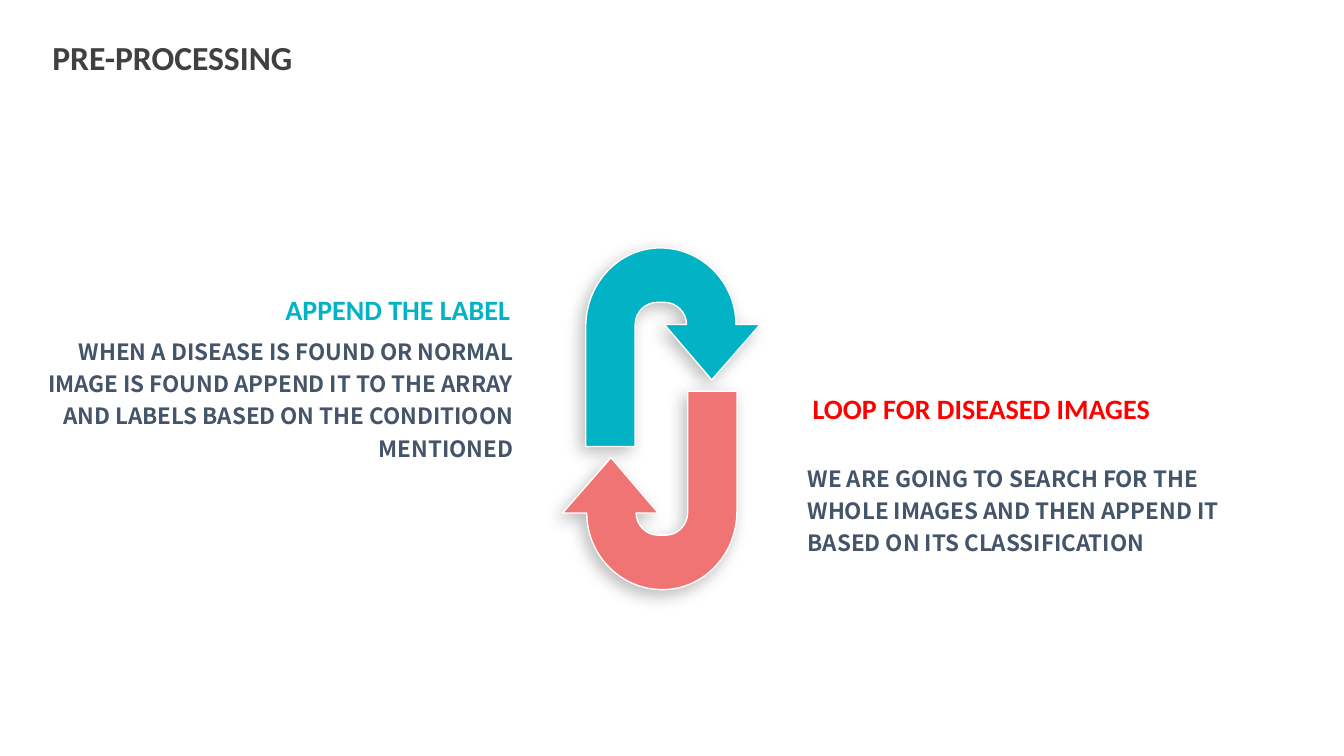
import pptx
import pptx.util
import pptx.dml.color
import pptx.enum.text
import pptx.oxml
import pptx.oxml.ns
import lxml.etree

Inches, Pt = pptx.util.Inches, pptx.util.Pt
RGB = pptx.dml.color.RGBColor
ALIGN = pptx.enum.text.PP_ALIGN
qn = pptx.oxml.ns.qn

DARK = RGB(0x40, 0x40, 0x40)
SLATE = RGB(0x44, 0x54, 0x69)
TEAL = RGB(0x02, 0xB3, 0xC5)
CORAL = RGB(0xF0, 0x74, 0x74)
RED = RGB(0xFF, 0, 0)
WHITE = RGB(0xFF, 0xFF, 0xFF)

# Content: text, box (left, top, width, height), size, font, colour, alignment
TITLE = ("PRE-PROCESSING", (0.42, 0.32, 4.65, 0.5), 24, "Calibri", DARK, ALIGN.LEFT)
HEADINGS = [
    ("APPEND THE LABEL", (2.14, 2.9, 2.92, 0.34), 20, "Calibri", TEAL, ALIGN.RIGHT),
    ("LOOP FOR DISEASED IMAGES", (8.06, 3.88, 3.39, 0.34), 20, "Calibri", RED, ALIGN.LEFT),
]
DETAILS = [
    ("WE ARE GOING TO SEARCH FOR THE WHOLE IMAGES AND THEN APPEND IT "
     "BASED ON ITS CLASSIFICATION",
     (8.01, 4.56, 4.12, 1.29), 16, "Noto Sans CJK SC", SLATE, ALIGN.LEFT),
    ("WHEN A DISEASE IS FOUND OR NORMAL IMAGE IS FOUND APPEND IT TO THE ARRAY "
     "AND LABELS BASED ON THE CONDITIOON MENTIONED",
     (0.34, 3.3, 4.75, 1.29), 16, "Noto Sans CJK SC", SLATE, ALIGN.RIGHT),
]

# Bent arrow outline: one point ends a line, three points make a Bezier curve
ARROW = [
    [(7.06, 3.77)], [(7.54, 3.22)], [(7.3, 3.22)],
    [(7.3, 2.8), (6.96, 2.46), (6.55, 2.46)],
    [(6.14, 2.46), (5.81, 2.81), (5.81, 3.24)],
    [(5.81, 4.43)], [(6.3, 4.43)], [(6.3, 3.22)],
    [(6.3, 3.1), (6.4, 3), (6.52, 3)], [(6.59, 3)],
    [(6.71, 3), (6.81, 3.1), (6.81, 3.22)], [(6.59, 3.22)],
]
TURN = (13.12, 8.31)  # twice the centre of the half turn between the arrows

SHADOW = (
    '<a:effectLst xmlns:a="http://schemas.openxmlformats.org/drawingml/2006/main">'
    '<a:outerShdw blurRad="152400" dist="63500" dir="8100000" algn="tr" rotWithShape="0">'
    '<a:srgbClr val="000000"><a:alpha val="26000"/></a:srgbClr>'
    '</a:outerShdw></a:effectLst>')


def add_arrow(s, outline, color):
    segs = [[(Inches(x), Inches(y)) for x, y in seg] for seg in outline]
    ends = [seg[-1] for seg in segs]
    builder = s.shapes.build_freeform(*ends[0])
    builder.add_line_segments(ends[1:], close=True)
    sp = builder.convert_to_shape()

    # Turn the lines that have control points into curves
    lines = list(sp._element.iter(qn("a:lnTo")))
    for line, seg in zip(lines, segs[1:]):
        if len(seg) == 3:
            line.tag = qn("a:cubicBezTo")
            line.remove(line[0])
            for x, y in seg:
                lxml.etree.SubElement(line, qn("a:pt"),
                                      x=str(x - sp.left), y=str(y - sp.top))

    sp.fill.solid()
    sp.fill.fore_color.rgb = color
    sp.line.color.rgb = WHITE
    sp.line.width = Pt(1)
    sp._element.spPr.append(pptx.oxml.parse_xml(SHADOW))


def add_text(s, text, box, size, font, color, align, inset=True, spacing=None):
    tf = s.shapes.add_textbox(*map(Inches, box)).text_frame
    tf.word_wrap = True
    tf.auto_size = pptx.enum.text.MSO_AUTO_SIZE.SHAPE_TO_FIT_TEXT
    p = tf.paragraphs[0]
    p.text = text
    p.alignment = align
    p.font.size, p.font.name, p.font.bold = Pt(size), font, True
    p.font.color.rgb = color
    if not inset:
        tf.margin_left = tf.margin_top = tf.margin_right = tf.margin_bottom = 0
        p.space_before = Pt(size * 0.2)
    if spacing:
        p.line_spacing = spacing


prs = pptx.Presentation()
prs.slide_width, prs.slide_height = Inches(13.33), Inches(7.5)
s = prs.slides.add_slide(prs.slide_layouts[6])

# Title
add_text(s, *TITLE)

# Cycle: the second arrow is the first after a half turn
add_arrow(s, ARROW, TEAL)
add_arrow(s, [[(TURN[0] - x, TURN[1] - y) for x, y in seg] for seg in ARROW], CORAL)

# Steps
for heading in HEADINGS:
    add_text(s, *heading, inset=False)
for detail in DETAILS:
    add_text(s, *detail, inset=False, spacing=1.2)

prs.save("out.pptx")
